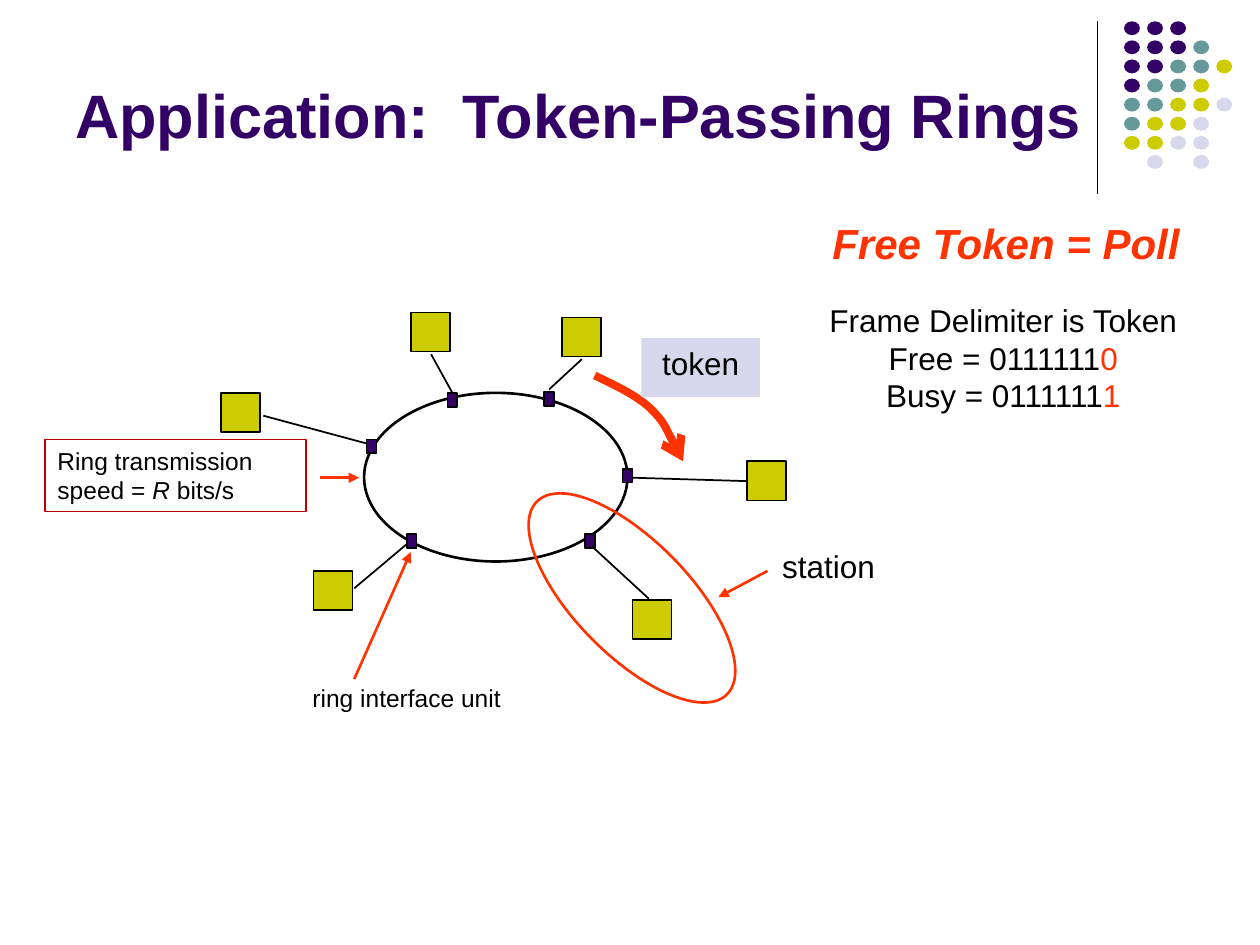
from dataclasses import dataclass

from lxml.etree import SubElement
from pptx import Presentation
from pptx.dml.color import RGBColor
from pptx.enum.shapes import MSO_CONNECTOR, MSO_SHAPE
from pptx.enum.text import MSO_ANCHOR, MSO_AUTO_SIZE, PP_ALIGN
from pptx.oxml.ns import qn
from pptx.util import Cm, Pt


@dataclass(frozen=True)
class Theme:
    font: str = "Arial"
    ink: str = "000000"
    purple: str = "330066"
    teal: str = "669999"
    olive: str = "CCCC00"
    lilac: str = "D8D8EC"
    red: str = "FF3300"
    frame: str = "C00000"
    title: int = 35
    heading: int = 24
    body: int = 18
    label: int = 14


THEME = Theme()

DOT_ROWS = ["PPP", "PPPT", "PPTTO", "PTTO", "TTOOL", "TOOL", "OOLL", " L L"]
DOT_COLORS = {"P": THEME.purple, "T": THEME.teal, "O": THEME.olive, "L": THEME.lilac}

STATIONS = [(4.45, 7.92), (8.28, 6.3), (11.33, 6.4),
            (15.06, 9.3), (12.75, 12.09), (6.32, 11.51)]
INTERFACES = [(7.39, 8.86), (9.02, 7.92), (10.97, 7.9),
              (12.55, 9.45), (11.79, 10.77), (8.2, 10.77)]
LINKS = [((5.31, 8.38), (7.39, 8.94)), ((8.69, 7.14), (9.12, 7.92)),
         ((11.73, 7.24), (11.07, 7.85)), ((15.06, 9.7), (12.75, 9.63)),
         ((13.08, 12.07), (11.94, 11.02)), ((7.14, 11.86), (8.2, 10.97))]
POINTERS = [((6.45, 9.63), (7.24, 9.63)), ((15.47, 11.51), (14.48, 12.04)),
            ((7.14, 13.69), (8.28, 11.13))]
TOKEN_PATH = [(11.99, 7.57), (12.4, 7.77), (12.8, 7.95), (13.11, 8.23),
              (13.41, 8.53), (13.67, 9.12), (13.77, 9.3)]


def color(value):
    return RGBColor.from_string(value)


def set_line(line, value, width):
    line.color.rgb = color(value)
    line.width = Pt(width)


def add_head(line, kind):
    """Put an arrowhead at the end of a line."""
    SubElement(line._get_or_add_ln(), qn("a:tailEnd"), type=kind)


def add_shape(page, preset, bounds, fill=None, line=None, width=1):
    shape = page.shapes.add_shape(preset, *map(Cm, bounds))
    shape.shadow.inherit = False
    if fill:
        shape.fill.solid()
        shape.fill.fore_color.rgb = color(fill)
    else:
        shape.fill.background()
    if line:
        set_line(shape.line, line, width)
    else:
        shape.line.fill.background()
    return shape


def add_line(page, start, end, value=THEME.ink, width=1, head=None):
    connector = page.shapes.add_connector(
        MSO_CONNECTOR.STRAIGHT, *map(Cm, start + end))
    set_line(connector.line, value, width)
    SubElement(connector._element.spPr, qn("a:effectLst"))
    if head:
        add_head(connector.line, head)


def add_curve(page, points, value, width, head):
    """Draw a cubic Bezier path: a start, then three points per segment."""
    places = [(Cm(x), Cm(y)) for x, y in points]
    builder = page.shapes.build_freeform(*places[0])
    builder.add_line_segments(places[1:], close=False)
    curve = builder.convert_to_shape()
    curve.shadow.inherit = False
    curve.fill.background()
    set_line(curve.line, value, width)
    add_head(curve.line, head)
    steps = list(curve._element.iter(qn("a:lnTo")))
    outline = steps[0].getparent()
    for first in range(0, len(steps), 3):
        bezier = SubElement(outline, qn("a:cubicBezTo"))
        for step in steps[first:first + 3]:
            bezier.append(step[0])
            outline.remove(step)


def write_text(box, paragraphs, size, value=THEME.ink, bold=False, italic=False,
               align=PP_ALIGN.LEFT, anchor=MSO_ANCHOR.TOP, wrap=False, grow=True):
    """Fill a box; each paragraph lists (text, format changes) pairs."""
    frame = box.text_frame
    frame.word_wrap = wrap
    frame.auto_size = MSO_AUTO_SIZE.SHAPE_TO_FIT_TEXT if grow else MSO_AUTO_SIZE.NONE
    frame.vertical_anchor = anchor
    for index, spans in enumerate(paragraphs):
        para = frame.add_paragraph() if index else frame.paragraphs[0]
        para.alignment = align
        for text, changes in spans:
            span = para.add_run()
            span.text = text
            span.font.name = THEME.font
            span.font.size = Pt(size)
            span.font.bold = bold
            span.font.italic = changes.get("italic", italic)
            span.font.color.rgb = color(changes.get("value", value))


def add_text(page, bounds, paragraphs, size, **style):
    box = page.shapes.add_textbox(*map(Cm, bounds))
    write_text(box, paragraphs, size, **style)


def add_dots(page):
    for row, codes in enumerate(DOT_ROWS):
        for column, code in enumerate(codes):
            if code != " ":
                bounds = (22.66 + 0.465 * column, 0.43 + 0.385 * row, 0.32, 0.28)
                add_shape(page, MSO_SHAPE.OVAL, bounds, fill=DOT_COLORS[code])


def add_ring(page):
    add_shape(page, MSO_SHAPE.OVAL, (7.34, 7.92, 5.31, 3.4), line=THEME.ink, width=1.5)
    for place in STATIONS:
        add_shape(page, MSO_SHAPE.RECTANGLE, place + (0.79, 0.79), THEME.olive, THEME.ink)
    for place in INTERFACES:
        add_shape(page, MSO_SHAPE.RECTANGLE, place + (0.2, 0.28), THEME.purple, THEME.ink)
    for start, end in LINKS:
        add_line(page, start, end)
    add_curve(page, TOKEN_PATH, THEME.red, 4.5, "arrow")
    token = add_shape(page, MSO_SHAPE.RECTANGLE, (12.93, 6.81, 2.39, 1.19), THEME.lilac)
    write_text(token, [[("token", {})]], THEME.body, align=PP_ALIGN.CENTER)


def add_labels(page):
    speed = add_shape(page, MSO_SHAPE.RECTANGLE, (0.91, 8.86, 5.26, 1.45),
                      line=THEME.frame, width=0.75)
    write_text(speed, [[("Ring transmission speed = ", {}), ("R", {"italic": True}),
                        (" bits/s", {})]], THEME.label, wrap=True)
    highlight = add_shape(page, MSO_SHAPE.OVAL, (10.01, 10.9, 5.46, 2.31),
                          line=THEME.red, width=1.5)
    highlight.rotation = 45.5
    add_text(page, (15.52, 10.9, 2.41, 1.02), [[("station", {})]], THEME.body)
    add_text(page, (6.05, 13.64, 4.32, 0.86), [[("ring interface unit", {})]], THEME.label)
    for start, end in POINTERS:
        add_line(page, start, end, THEME.red, 1.5, "triangle")


def main():
    deck = Presentation()
    deck.slide_width, deck.slide_height = Cm(25.4), Cm(19.05)
    page = deck.slides.add_slide(deck.slide_layouts[6])

    add_line(page, (22.12, 0.43), (22.12, 3.91), width=0.75)
    add_dots(page)
    add_text(page, (1.27, 0.33, 20.96, 2.84),
             [[("Application:  Token-Passing Rings", {})]], THEME.title,
             value=THEME.purple, bold=True, anchor=MSO_ANCHOR.BOTTOM,
             wrap=True, grow=False)
    add_text(page, (16.51, 4.27, 7.54, 1.27), [[("Free Token = Poll", {})]],
             THEME.heading, value=THEME.red, bold=True, italic=True,
             align=PP_ALIGN.CENTER)
    add_ring(page)
    marked = {"value": THEME.red}
    add_text(page, (16.43, 5.94, 7.59, 2.54),
             [[("Frame Delimiter is Token", {})],
              [("Free = 0111111", {}), ("0", marked)],
              [("Busy = 0111111", {}), ("1", marked)]],
             THEME.body, align=PP_ALIGN.CENTER)
    add_labels(page)
    deck.save("out.pptx")


if __name__ == "__main__":
    main()
